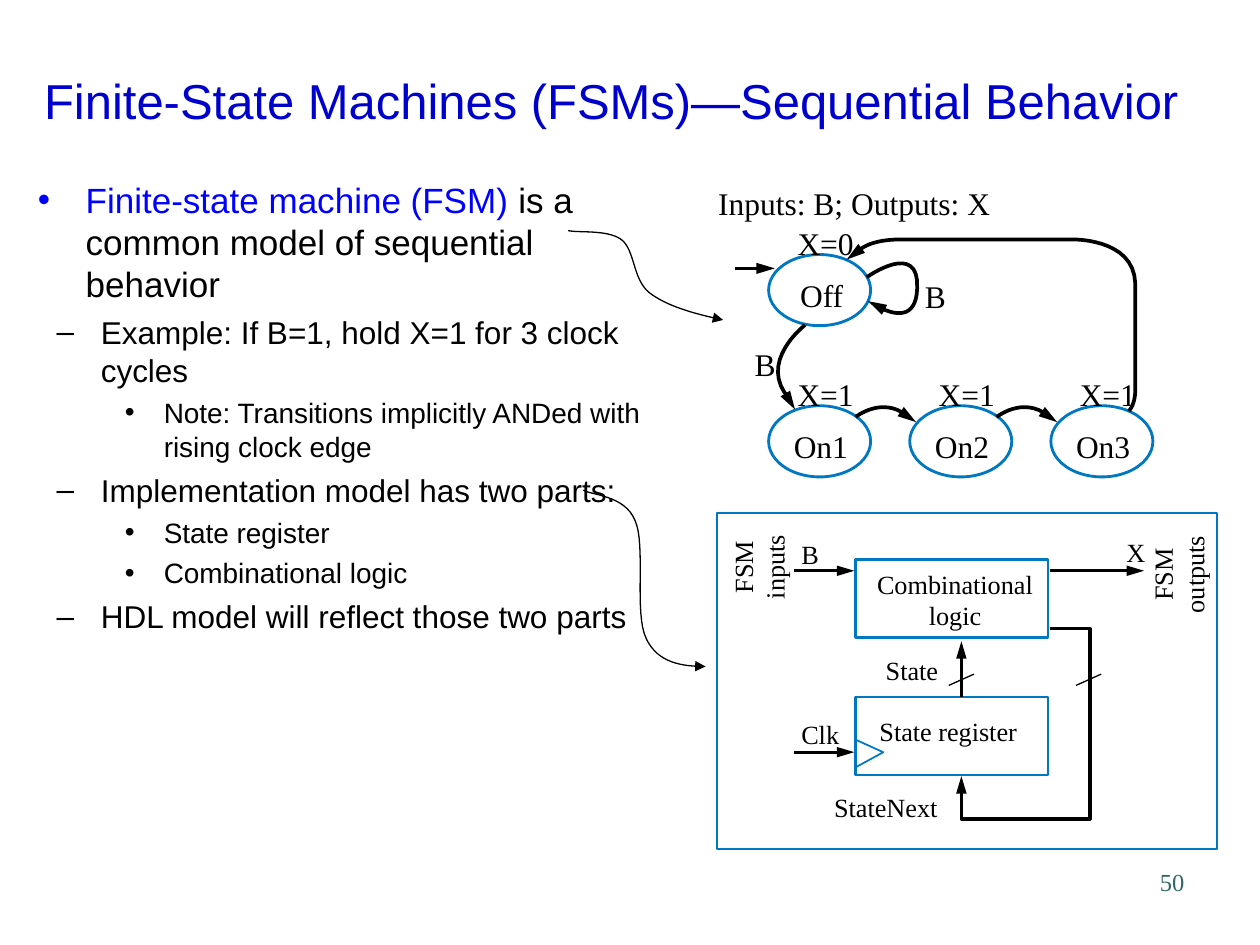
"""Build the slide on finite-state machines, laid out on a grid of 100 columns by 75 rows."""
import lxml.etree
import pptx
import pptx.dml.color
import pptx.enum.shapes
import pptx.enum.text
import pptx.oxml.ns
import pptx.util

RGB = pptx.dml.color.RGBColor
ALIGN = pptx.enum.text.PP_ALIGN
KIND = pptx.enum.shapes.MSO_SHAPE
qn = pptx.oxml.ns.qn

BLACK = RGB(0, 0, 0)
NAVY = RGB(0, 0, 0xCC)
BLUE = RGB(0, 0, 0xFF)
AZURE = RGB(0, 0x78, 0xC1)
TEAL = RGB(0x33, 0x66, 0x66)
SANS, SERIF = "Arial", "Times New Roman"
STEPS = 16
LEVELS = [("•", 0.38, 0.38, 20, 5), ("–", 0.5, 0.35, 18, 4.5), ("•", 1, 0.31, 16, 4)]
ITEMS = [
    (0, [("Finite-state machine (FSM)", BLUE), (" is a common model of sequential behavior", BLACK)]),
    (1, [("Example: If B=1, hold X=1 for 3 clock cycles", BLACK)]),
    (2, [("Note: Transitions implicitly ANDed with rising clock edge", BLACK)]),
    (1, [("Implementation model has two parts:", BLACK)]),
    (2, [("State register", BLACK)]),
    (2, [("Combinational logic", BLACK)]),
    (1, [("HDL model will reflect those two parts", BLACK)]),
]


def cell(*nums):
    """Turn grid columns and rows into lengths."""
    return [pptx.util.Inches(num / 10) for num in nums]


def style(para, size, face, tint=BLACK):
    """Set the font of a paragraph."""
    para.font.size = pptx.util.Pt(size)
    para.font.name = face
    para.font.color.rgb = tint


def pen(shape, tint, width, head=None):
    """Set the line of a shape, with an arrowhead of the given length if any."""
    shape.line.color.rgb = tint
    shape.line.width = pptx.util.Pt(width)
    if head:
        ln = shape._element.spPr.find(qn("a:ln"))
        lxml.etree.SubElement(ln, qn("a:tailEnd"), type="triangle", w="med", len=head)


def label(slide, text, x, y, w, h=3, size=18, align=ALIGN.LEFT, turn=0, tint=BLACK):
    """Add a serif text box without margins."""
    box = slide.shapes.add_textbox(*cell(x, y, w, h))
    box.rotation = turn
    frame = box.text_frame
    frame.word_wrap = False
    frame.margin_left = frame.margin_right = frame.margin_top = frame.margin_bottom = 0
    frame.text = text
    for para in frame.paragraphs:
        para.alignment = align
        style(para, size, SERIF, tint)


def shape(slide, kind, x, y, w, h, width=1.39):
    """Add an outlined shape."""
    item = slide.shapes.add_shape(kind, *cell(x, y, w, h))
    item.fill.background()
    item.shadow.inherit = False
    pen(item, AZURE, width)


def line(slide, x1, y1, x2, y2, width, head=None):
    """Add a straight line or arrow."""
    item = slide.shapes.add_connector(
        pptx.enum.shapes.MSO_CONNECTOR.STRAIGHT, *cell(x1, y1, x2, y2))
    pen(item, BLACK, width, head)
    lxml.etree.SubElement(item._element.spPr, qn("a:effectLst"))


def trace(slide, points, width, head=None, tint=BLACK):
    """Add an open outline through the points."""
    spots = [cell(*point) for point in points]
    build = slide.shapes.build_freeform(*spots[0])
    build.add_line_segments(spots[1:], close=False)
    item = build.convert_to_shape()
    item.fill.background()
    item.shadow.inherit = False
    pen(item, tint, width, head)


def curve(knots):
    """List points along joined cubic curves, given a start and three knots for each."""
    points = [knots[0]]
    for at in range(0, len(knots) - 1, 3):
        a, b, c, d = knots[at:at + 4]
        for step in range(1, STEPS + 1):
            t = step / STEPS
            u = 1 - t
            points.append(tuple(
                u**3 * a[i] + 3 * u * u * t * b[i] + 3 * u * t * t * c[i] + t**3 * d[i]
                for i in (0, 1)))
    return points


def place(holder, x, y, w, h):
    """Move a placeholder and return its text frame."""
    holder.left, holder.top, holder.width, holder.height = cell(x, y, w, h)
    holder.text_frame.auto_size = pptx.enum.text.MSO_AUTO_SIZE.NONE
    return holder.text_frame


def title(slide):
    """Fill the title."""
    frame = place(slide.shapes.title, 2.5, 3.3, 94.2, 9.2)
    frame.text = "Finite-State Machines (FSMs)—Sequential Behavior"
    frame.vertical_anchor = pptx.enum.text.MSO_ANCHOR.MIDDLE
    frame.paragraphs[0].alignment = ALIGN.LEFT
    style(frame.paragraphs[0], 28, SANS, NAVY)


def body(slide):
    """Fill the bullet list."""
    frame = place(slide.placeholders[1], 2, 13.7, 50.5, 45.1)
    for at, (level, runs) in enumerate(ITEMS):
        mark, left, hang, size, gap = LEVELS[level]
        para = frame.add_paragraph() if at else frame.paragraphs[0]
        para.level = level
        para.space_before = pptx.util.Pt(gap if at else 0)
        props = para._p.get_or_add_pPr()
        props.set("marL", str(pptx.util.Inches(left)))
        props.set("indent", str(-pptx.util.Inches(hang)))
        tone = lxml.etree.SubElement(props, qn("a:buClr"))
        lxml.etree.SubElement(tone, qn("a:srgbClr"), val=str(runs[0][1]))
        lxml.etree.SubElement(props, qn("a:buChar"), char=mark)
        style(para, size, SANS)
        for text, tint in runs:
            run = para.add_run()
            run.text = text
            if len(runs) > 1:
                run.font.color.rgb = tint


def states(slide):
    """Draw the state diagram."""
    label(slide, "Inputs: B; Outputs: X", 57, 14.6, 22.5)
    nodes = [("Off", "X=0", 0, 20.2, 63.5)]
    nodes += [(f"On{i + 1}", "X=1", i, 32.2, 63 + 11.2 * i) for i in range(3)]
    for name, out, col, top, left in nodes:
        x = 61 + 11.2 * col
        shape(slide, KIND.OVAL, x, top, 8.1, 5.65, 1.62)
        label(slide, name, left, top + 1.7, 5)
        label(slide, out, x + 2.3, top - 2.4, 5)
    label(slide, "B", 73.4, 22, 2)
    label(slide, "B", 59.9, 27.4, 2)
    line(slide, 58.3, 21.3, 61.5, 21.3, 2.13, "lg")
    hops = [curve([(x, 33.1), (x, 33.1), (x + 2.1, 31.4), (x + 4.1, 33)]) + [(x + 4.8, 33.5)]
            for x in (67.9, 79.1)]
    drop = curve([(63.9, 25.8), (63.9, 25.8), (60, 28.8), (62.7, 31.7)]) + [(63.1, 32.5)]
    loop = curve([(68.8, 22), (68.8, 22), (73, 19), (72.8, 22.9),
                  (72.7, 25.4), (71, 25), (69.8, 24.4)]) + [(68.9, 23.9)]
    back = curve([(89.6, 32.6), (90.1, 32.1), (90.1, 31), (90.1, 31),
                  (90.1, 31), (90.1, 31), (90.1, 22.5),
                  (90, 18.8), (84.9, 19), (84.9, 19),
                  (84.9, 19), (84.9, 19), (71.6, 19),
                  (70, 19), (69, 19.3), (68.4, 19.7)]) + [(67.2, 20.6)]
    for path in [*hops, drop, loop, back]:
        trace(slide, path, 2.13, "lg")


def model(slide):
    """Draw the implementation model."""
    shape(slide, KIND.RECTANGLE, 56.9, 40.7, 39.7, 26.7)
    for top in (44.4, 55.3):
        shape(slide, KIND.RECTANGLE, 67.9, top, 15.3, 6.2)
    trace(slide, [(67.9, 60.9), (70.1, 59.7), (67.9, 58.7)], 1, tint=AZURE)
    label(slide, "Combinational\nlogic", 69.1, 45.1, 13.4, 5, 15, ALIGN.CENTER)
    label(slide, "FSM\ninputs", 56.7, 42.5, 7, 5, 15, ALIGN.CENTER, 270)
    label(slide, "FSM\noutputs", 90, 43.1, 7, 5, 15, ALIGN.CENTER, 270)
    for text, x, y, w in [("State register", 69.8, 56.8, 12), ("State", 70.3, 51.9, 5),
                          ("StateNext", 66.2, 62.8, 9), ("X", 89.4, 42.6, 2),
                          ("B", 63.6, 42.7, 2), ("Clk", 63.6, 57, 4)]:
        label(slide, text, x, y, w, 2.5, 15)
    for ends in [(63, 45.3, 67.8, 45.3), (83.3, 45.3, 90.8, 45.3),
                 (63, 59.7, 67.8, 59.7), (76.3, 55.3, 76.3, 50.9)]:
        line(slide, *ends, 1.87, "lg")
    trace(slide, [(83.3, 49.9), (86.5, 49.9), (86.5, 65), (76.3, 65), (76.3, 61.6)], 1.87, "lg")
    for x in (75.3, 85.4):
        line(slide, x, 54.4, x + 2, 53.5, 0.75)


def links(slide):
    """Draw the curved pointers from the list to the drawings."""
    trace(slide, curve([(45.1, 18.3), (45.8, 18.5), (48.2, 18.2), (49.3, 19),
                        (50.4, 19.8), (50.2, 22.1), (51.5, 23.2),
                        (52.9, 24.3), (55.1, 24.9), (57.4, 25.4)]), 0.75, "med")
    trace(slide, curve([(46.3, 38.9), (46.9, 39.3), (49.6, 39.3), (50.4, 41.3),
                        (51.3, 43.2), (50.3, 48.7), (51.3, 50.7),
                        (52.2, 52.6), (54.1, 52.9), (56, 52.9)]), 0.75, "med")


def main():
    """Build and save the slide."""
    deck = pptx.Presentation()
    deck.slide_width, deck.slide_height = cell(100, 75)
    slide = deck.slides.add_slide(deck.slide_layouts[1])
    for part in (title, body, states, model, links):
        part(slide)
    label(slide, "50", 75.2, 68.8, 18.8, 4, 14, ALIGN.RIGHT, tint=TEAL)
    deck.save("out.pptx")


if __name__ == "__main__":
    main()
